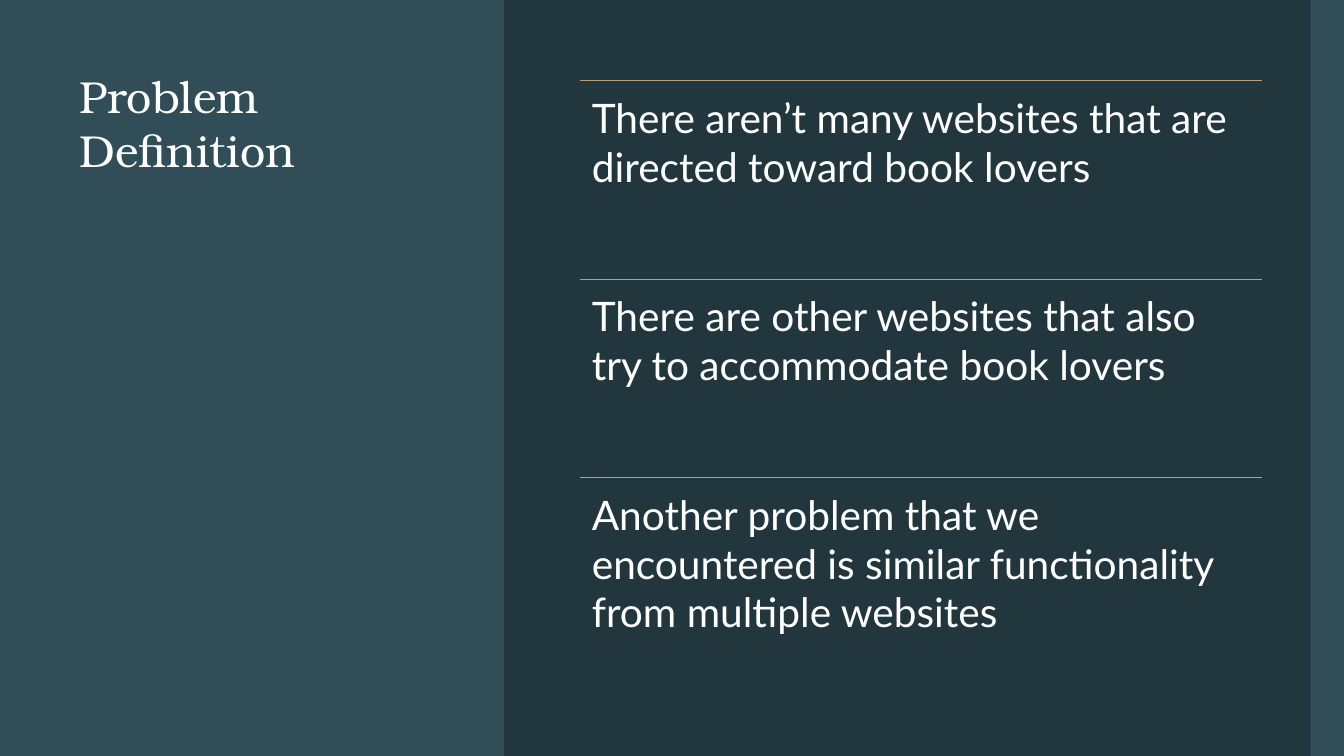
from lxml import etree
from pptx import Presentation
from pptx.dml.color import RGBColor
from pptx.enum.shapes import MSO_CONNECTOR, MSO_SHAPE
from pptx.enum.text import MSO_ANCHOR
from pptx.oxml.ns import qn
from pptx.util import Inches, Pt

RECT, LINE, TOP = MSO_SHAPE.RECTANGLE, MSO_CONNECTOR.STRAIGHT, MSO_ANCHOR.TOP
WIDE, HIGH = 13.33, 7.5
COLORS = {"dark": "22363D", "teal": "314E58", "rule": "BA9C7F", "text": "FFFFFF"}
EDGE = [(4.84, HIGH), (4.84, 7.29), (4.79, 4.17), (4.84, 2.81),
        (4.84, 1.18), (4.79, 0.6), (4.82, 0.11)]
POINTS = [
    "There aren’t many websites that are directed toward book lovers",
    "There are other websites that also try to accommodate book lovers",
    "Another problem that we encountered is similar functionality from multiple websites",
]


def color(name):
    """Return the named colour."""
    return RGBColor.from_string(COLORS[name])


def paint(shape, name):
    """Give a shape a flat fill with no line or shadow."""
    shape.fill.solid()
    shape.fill.fore_color.rgb = color(name)
    shape.line.fill.background()
    shape.shadow.inherit = False


def write(slide, box, text, face, size, inset=0):
    """Place one wrapped paragraph in a box."""
    frame = slide.shapes.add_textbox(*map(Inches, box)).text_frame
    frame.word_wrap = True
    frame.vertical_anchor = TOP
    frame.margin_left = frame.margin_right = Inches(inset)
    frame.margin_top = frame.margin_bottom = Inches(inset)
    para = frame.paragraphs[0]
    para.text = text
    para.font.name = face
    para.font.size = Pt(size)
    para.font.color.rgb = color("text")


def rule(slide, left, top, width):
    """Draw a thin level line."""
    ends = map(Inches, (left, top, left + width, top))
    line = slide.shapes.add_connector(LINE, *ends)
    line.line.color.rgb = color("rule")
    line.line.width = Pt(0.5)
    etree.SubElement(line._element.spPr, qn("a:effectLst"))


def backdrop(slide, wide, high):
    """Lay the teal panel and the dark area with its torn edge."""
    slide.background.fill.solid()
    slide.background.fill.fore_color.rgb = color("dark")
    panel = slide.shapes.add_shape(RECT, 0, 0, Inches(wide), Inches(high))
    paint(panel, "teal")
    pen = slide.shapes.build_freeform(4.82, 0, scale=Inches(1))
    pen.add_line_segments([(wide, 0), (wide, high), *EDGE], close=True)
    paint(pen.convert_to_shape(), "dark")


def listing(slide, box, items):
    """Stack ruled items in equal rows of the box."""
    left, top, width, height = box
    row = height / len(items)
    for num, item in enumerate(items):
        y = top + num * row
        rule(slide, left, y, width)
        write(slide, (left, y, width, row), item, "Lato", 29, 0.12)


def main():
    """Build and save the slide."""
    deck = Presentation()
    deck.slide_width, deck.slide_height = Inches(WIDE), Inches(HIGH)
    slide = deck.slides.add_slide(deck.slide_layouts[6])
    backdrop(slide, WIDE, HIGH)
    write(slide, (0.79, 0.68, 3.4, 6.03), "Problem Definition", "TeX Gyre Bonum", 32)
    listing(slide, (5.75, 0.8, 6.77, 5.91), POINTS)
    deck.save("out.pptx")


if __name__ == "__main__":
    main()
